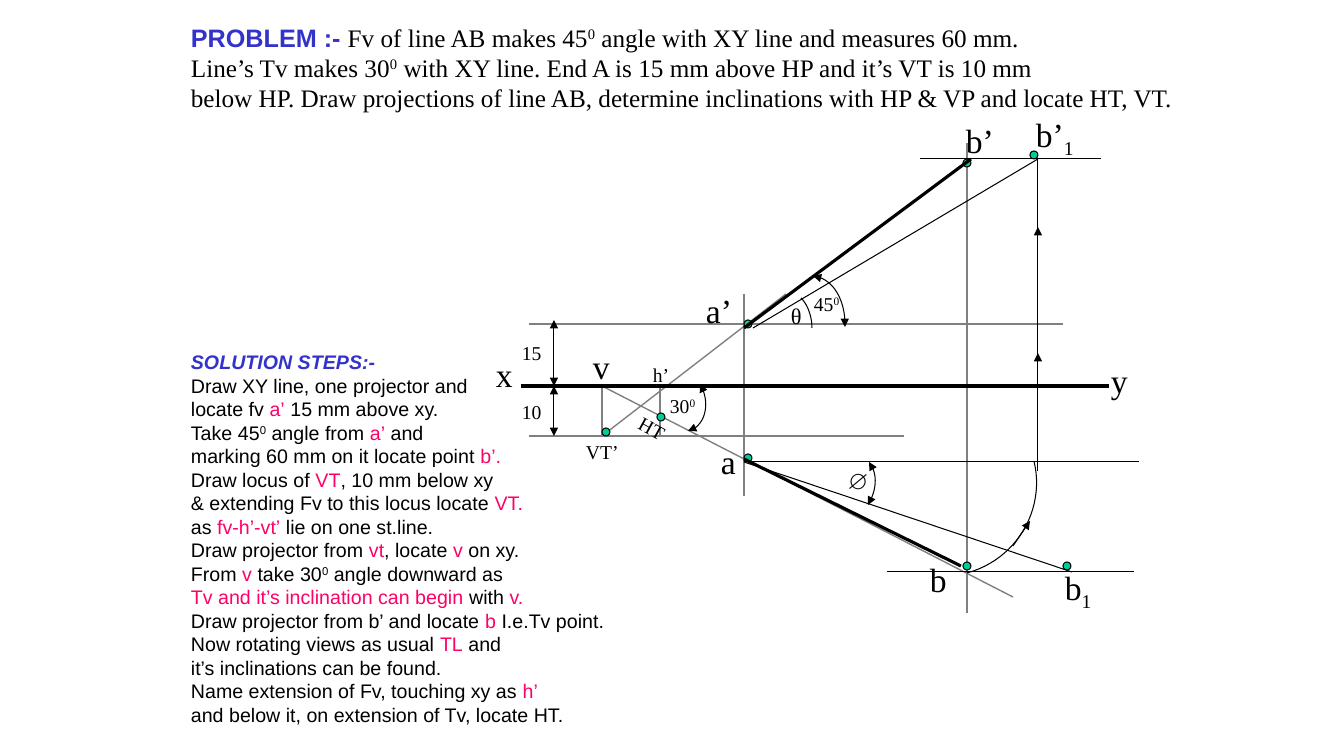
from pptx import Presentation
from pptx.dml.color import RGBColor
from pptx.enum.shapes import MSO_CONNECTOR, MSO_SHAPE
from pptx.enum.text import MSO_AUTO_SIZE
from pptx.oxml.ns import qn
from pptx.util import Pt
from lxml import etree

PX = 914400 / 100.8
STRAIGHT = MSO_CONNECTOR.STRAIGHT
OVAL = MSO_SHAPE.OVAL
GROW = MSO_AUTO_SIZE.SHAPE_TO_FIT_TEXT
BLACK = RGBColor(0, 0, 0)
GREY = RGBColor(0x80, 0x80, 0x80)
GREEN = RGBColor(0x00, 0xCC, 0x99)
BLUE = RGBColor(0x33, 0x33, 0xCC)
PINK = RGBColor(0xFF, 0x00, 0x66)
SERIF = "Times New Roman"
SANS = "Arial"
DOT = 8
ARC_STEPS = 24

PROBLEM = [
    "Fv of line AB makes 45^0^ angle with XY line and measures 60 mm.",
    "Line’s Tv makes 30^0^ with XY line. End A is 15 mm above HP and it’s VT is 10 mm",
    "below HP. Draw projections of line AB, determine inclinations with HP & VP and locate HT, VT.",
]
STEPS = [
    "Draw XY line, one projector and",
    "locate fv |a’| 15 mm above xy.",
    "Take 45^0^ angle from |a’| and",
    "marking 60 mm on it locate point |b’.|",
    "Draw locus of |VT|, 10 mm below xy",
    "& extending Fv to this locus locate |VT.|",
    "as |fv-h’-vt’| lie on one st.line.",
    "Draw projector from |vt|, locate| v| on xy.",
    "From |v |take 30^0^ angle downward as",
    "|Tv and it’s inclination can begin| with |v.|",
    "Draw projector from b’ and locate |b |I.e.Tv point.",
    "Now rotating views as usual |TL| and",
    "it’s inclinations can be found.",
    "Name extension of Fv, touching xy as |h’|",
    "and below it, on extension of Tv, locate HT.",
]
GUIDES = [
    (264, 194, 264, 396), (49, 224, 583, 224), (49, 336, 424, 336),
    (306, 194, 122, 336), (122, 336, 122, 286), (122, 286, 533, 497),
    (487, 43, 487, 513), (180, 336, 180, 286),
]
VIEWS = [(41, 286, 629, 286), (264, 228, 491, 59), (264, 359, 481, 466)]
THIN = [
    (407, 472, 654, 472), (440, 59, 621, 59), (264, 362, 659, 362),
    (558, 371, 558, 59), (558, 59, 273, 228), (592, 472, 264, 362),
]
ARROWS = [(533, 446, 550, 421), (558, 336, 558, 253), (558, 177, 558, 127)]
DIMENSIONS = [(74, 220, 74, 286), (74, 286, 74, 336)]
PLAIN_ARCS = [
    ((487, 473), (536, 460), (566, 410), (554, 361)),
    ((321, 198), (328, 205), (332, 217), (332, 228)),
]
ANGLE_ARCS = [
    ((333, 176), (354, 178), (366, 202), (365, 227)),
    ((389, 362), (398, 373), (397, 390), (388, 405)),
    ((208, 331), (224, 328), (232, 304), (220, 284)),
]
DOTS = [
    (264, 220), (483, 59), (264, 354), (483, 462),
    (550, 51), (583, 462), (122, 328), (177, 313),
]
LABELS = [
    ("x", 6, 249, 37, 24), ("y", 621, 255, 37, 24), ("b’", 476, 15, 48, 24),
    ("b’_1_", 546, 9, 59, 24), ("a", 231, 336, 35, 24), ("v", 103, 241, 37, 24),
    ("VT’", 96, 335, 56, 14), ("a’", 216, 185, 46, 24), ("b", 440, 454, 37, 24),
    ("h’", 163, 258, 40, 14), ("b_1_", 575, 462, 48, 24), ("∅", 357, 362, 38, 16),
    ("30^0^", 180, 289, 46, 14), ("θ", 301, 197, 32, 16), ("45^0^", 324, 187, 46, 14),
    ("15", 32, 236, 40, 14), ("10", 32, 295, 40, 14),
]
LABEL_HEIGHTS = {14: 33, 16: 37, 24: 50}


def emu(*lengths):
    return [round(length * PX) for length in lengths]


def add_run(p, text, size, font, color):
    r = p.add_run()
    r.text = text
    r.font.size = Pt(size)
    r.font.name = font
    r.font.color.rgb = color
    return r


def add_marked_text(p, text, size, font):
    shift = "-25000" if "_" in text else "30000"
    for i, part in enumerate(text.split("|")):
        color = PINK if i % 2 else BLACK
        for j, piece in enumerate(part.replace("_", "^").split("^")):
            if piece:
                r = add_run(p, piece, size, font, color)
                if j % 2:
                    r.font._element.set("baseline", shift)


def add_text_box(slide, box):
    sp = slide.shapes.add_textbox(*emu(*box))
    sp.text_frame.word_wrap = False
    sp.text_frame.auto_size = GROW
    return sp


def style_line(sp, color, width, ends=()):
    sp.line.color.rgb = color
    sp.line.width = Pt(width)
    ln = sp.line._get_or_add_ln()
    for end in ends:
        etree.SubElement(ln, qn(f"a:{end}"), type="triangle")


def add_lines(slide, left, top, lines, color, width, ends=()):
    for x1, y1, x2, y2 in lines:
        points = emu(left + x1, top + y1, left + x2, top + y2)
        sp = slide.shapes.add_connector(STRAIGHT, *points)
        style_line(sp, color, width, ends)
        etree.SubElement(sp._element.spPr, qn("a:effectLst"))


def curve_point(controls, t):
    weights = ((1 - t) ** 3, 3 * t * (1 - t) ** 2, 3 * t * t * (1 - t), t ** 3)
    return [sum(w * c[axis] for w, c in zip(weights, controls)) for axis in (0, 1)]


def add_arcs(slide, left, top, arcs, ends=()):
    for controls in arcs:
        curve = [curve_point(controls, i / ARC_STEPS) for i in range(ARC_STEPS + 1)]
        points = [emu(left + x, top + y) for x, y in curve]
        builder = slide.shapes.build_freeform(*points[0])
        builder.add_line_segments(points[1:], close=False)
        sp = builder.convert_to_shape()
        sp.fill.background()
        sp.shadow.inherit = False
        style_line(sp, BLACK, 0.75, ends)


def add_dots(slide, left, top):
    for x, y in DOTS:
        sp = slide.shapes.add_shape(OVAL, *emu(left + x, top + y, DOT, DOT))
        sp.fill.solid()
        sp.fill.fore_color.rgb = GREEN
        sp.shadow.inherit = False
        style_line(sp, BLACK, 0.75)


def add_label(slide, left, top, text, x, y, width, size):
    sp = add_text_box(slide, (left + x, top + y, width, LABEL_HEIGHTS[size]))
    add_marked_text(sp.text_frame.paragraphs[0], text, size, SERIF)
    return sp


def add_diagram(slide, left, top):
    add_lines(slide, left, top, GUIDES, GREY, 1)
    add_dots(slide, left, top)
    add_lines(slide, left, top, VIEWS, BLACK, 2.25)
    add_lines(slide, left, top, THIN, BLACK, 0.75)
    add_lines(slide, left, top, ARROWS, BLACK, 0.75, ["tailEnd"])
    add_lines(slide, left, top, DIMENSIONS, BLACK, 0.75, ["headEnd", "tailEnd"])
    add_arcs(slide, left, top, PLAIN_ARCS)
    add_arcs(slide, left, top, ANGLE_ARCS, ["headEnd", "tailEnd"])
    for label in LABELS:
        add_label(slide, left, top, *label)
    add_label(slide, left, top, "HT", 149, 312, 50, 14).rotation = 28.8


def add_problem(slide, box):
    tf = add_text_box(slide, box).text_frame
    p = tf.paragraphs[0]
    add_run(p, "PROBLEM :- ", 18, SANS, BLUE).font.bold = True
    add_marked_text(p, PROBLEM[0], 18, SERIF)
    for line in PROBLEM[1:]:
        add_marked_text(tf.add_paragraph(), line, 18, SERIF)


def add_steps(slide, box):
    tf = add_text_box(slide, box).text_frame
    r = add_run(tf.paragraphs[0], "SOLUTION STEPS:-", 14, SANS, BLUE)
    r.font.bold = True
    r.font.italic = True
    for line in STEPS:
        add_marked_text(tf.add_paragraph(), line, 14, SANS)


def main():
    prs = Presentation()
    prs.slide_width, prs.slide_height = emu(1344, 756)
    slide = prs.slides.add_slide(prs.slide_layouts[6])
    add_diagram(slide, 480, 100)
    add_problem(slide, (181, 17, 1017, 102))
    add_steps(slide, (181, 345, 435, 414))
    prs.save("out.pptx")


if __name__ == "__main__":
    main()
